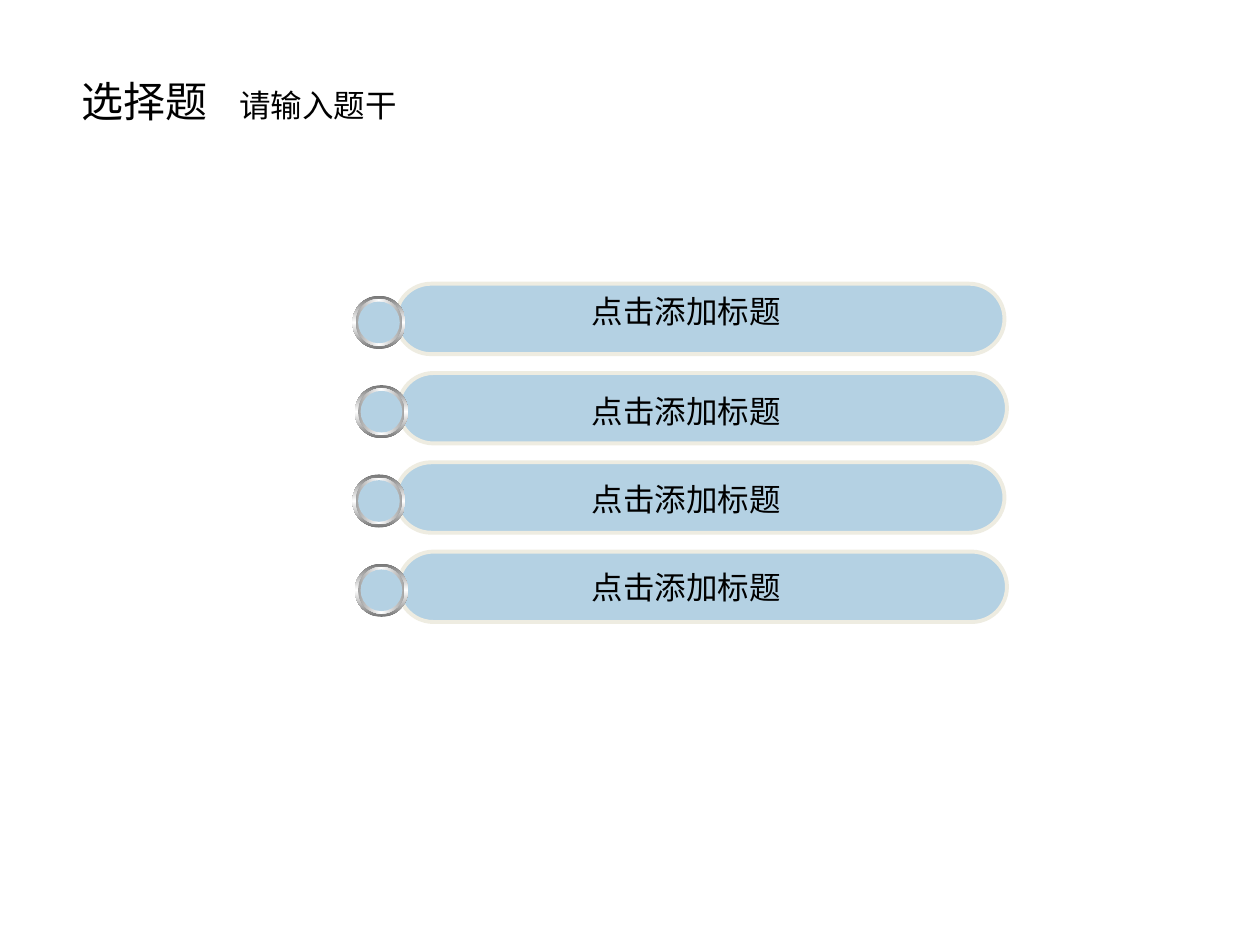
import copy
from dataclasses import dataclass

import pptx
import pptx.dml.color
import pptx.enum.dml
import pptx.enum.shapes
import pptx.enum.text
import pptx.oxml.ns
import pptx.oxml.xmlchemy
import pptx.util
from pptx.util import Cm

SHAPES = pptx.enum.shapes.MSO_SHAPE
CJK_FONT = "Noto Sans CJK SC"
BLUE = "B4D1E3"
BAR_LEFT, BAR_TOP, BAR_WIDTH, BAR_HEIGHT = 7.98, 5.72, 12.27, 1.42
BAR_PITCH = 1.8
EVEN_SHIFT = 0.05
BUTTON_DX, BUTTON_DY = -0.34, 0.78


@dataclass
class Label:
    text: str
    left: float
    top: float
    width: float
    height: float
    size: int = 18
    font: str = CJK_FONT
    wrap: bool = False


@dataclass
class Ring:
    diameter: float
    colors: tuple[str, ...]
    angle: int = 0


RINGS = [
    Ring(1.07, ("767676", "FFFFFF", "767676"), 270),
    Ring(0.94, ("A2A2A2", "FFFFFF", "A2A2A2")),
    Ring(0.84, (BLUE,)),
]
HEADINGS = [
    Label("选择题", 1.4, 1.4, 3.2, 1.27, size=24, wrap=True),
    Label("请输入题干", 4.57, 1.6, 20.02, 1.78, font="Arial", wrap=True),
]
OPTION_TOPS = (5.77, 7.77, 9.55, 11.33)
OPTIONS = [Label("点击添加标题", 11.68, top, 4.32, 1.02) for top in OPTION_TOPS]


def rgb(value: str) -> pptx.dml.color.RGBColor:
    return pptx.dml.color.RGBColor.from_string(value)


def fill_solid(shape, color: str) -> None:
    shape.fill.solid()
    shape.fill.fore_color.rgb = rgb(color)


def fill_gradient(shape, colors: tuple[str, ...], angle: int) -> None:
    """Spread the colours evenly over a linear gradient."""
    shape.fill.gradient()
    shape.fill.gradient_angle = angle
    stop_list = next(shape._element.spPr.iter(pptx.oxml.ns.qn("a:gsLst")))
    for _ in range(len(colors) - len(stop_list)):
        stop_list.append(copy.deepcopy(stop_list[0]))
    for index, (stop, color) in enumerate(zip(shape.fill.gradient_stops, colors)):
        stop.position = index / (len(colors) - 1)
        stop.color.rgb = rgb(color)


def draw_bar(slide, left: float, top: float) -> None:
    bar = slide.shapes.add_shape(
        SHAPES.ROUNDED_RECTANGLE, Cm(left), Cm(top), Cm(BAR_WIDTH), Cm(BAR_HEIGHT))
    bar.adjustments[0] = 0.5
    bar.shadow.inherit = False
    fill_solid(bar, BLUE)
    bar.line.color.rgb = rgb("EEECE1")
    bar.line.width = pptx.util.Pt(2.25)


def draw_button(slide, center_x: float, center_y: float) -> None:
    for ring in RINGS:
        radius = ring.diameter / 2
        disc = slide.shapes.add_shape(
            SHAPES.OVAL, Cm(center_x - radius), Cm(center_y - radius),
            Cm(ring.diameter), Cm(ring.diameter))
        disc.shadow.inherit = False
        disc.line.fill.background()
        if len(ring.colors) > 1:
            fill_gradient(disc, ring.colors, ring.angle)
        else:
            fill_solid(disc, ring.colors[0])


def draw_label(slide, label: Label) -> None:
    box = slide.shapes.add_textbox(
        Cm(label.left), Cm(label.top), Cm(label.width), Cm(label.height))
    frame = box.text_frame
    frame.word_wrap = label.wrap
    frame.auto_size = pptx.enum.text.MSO_AUTO_SIZE.SHAPE_TO_FIT_TEXT
    run = frame.paragraphs[0].add_run()
    run.text = label.text
    formats = {"size": pptx.util.Pt(label.size), "name": label.font}
    for attribute, value in formats.items():
        setattr(run.font, attribute, value)
    run.font.color.rgb = rgb("000000")
    east_asian = copy.deepcopy(run.font._element.find(pptx.oxml.ns.qn("a:latin")))
    east_asian.tag = pptx.oxml.ns.qn("a:ea")
    run.font._element.append(east_asian)


def main() -> None:
    presentation = pptx.Presentation()
    presentation.slide_width, presentation.slide_height = Cm(25.4), Cm(19.05)
    slide = presentation.slides.add_slide(presentation.slide_layouts[6])
    for row in range(len(OPTIONS)):
        left = BAR_LEFT + EVEN_SHIFT * (row % 2)
        top = BAR_TOP + BAR_PITCH * row
        draw_bar(slide, left, top)
        draw_button(slide, left + BUTTON_DX, top + BUTTON_DY)
    for label in HEADINGS + OPTIONS:
        draw_label(slide, label)
    presentation.save("out.pptx")


if __name__ == "__main__":
    main()
